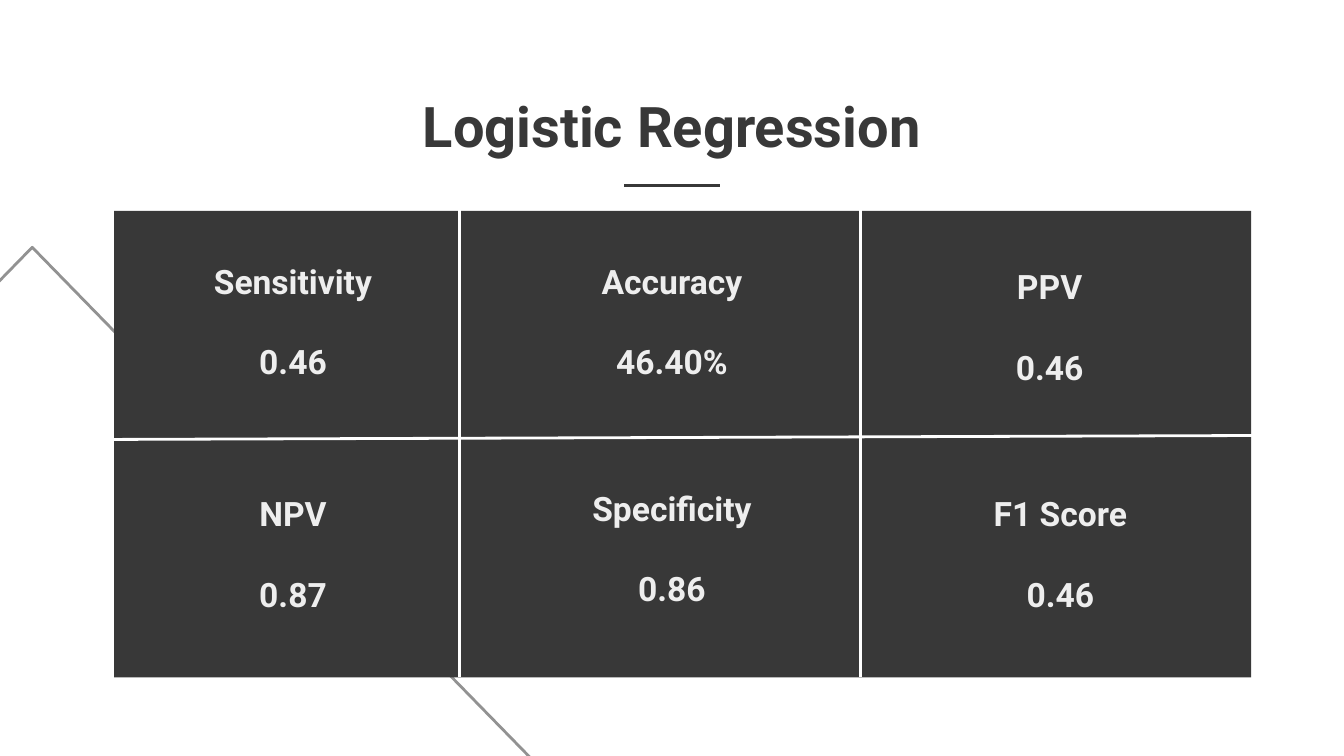
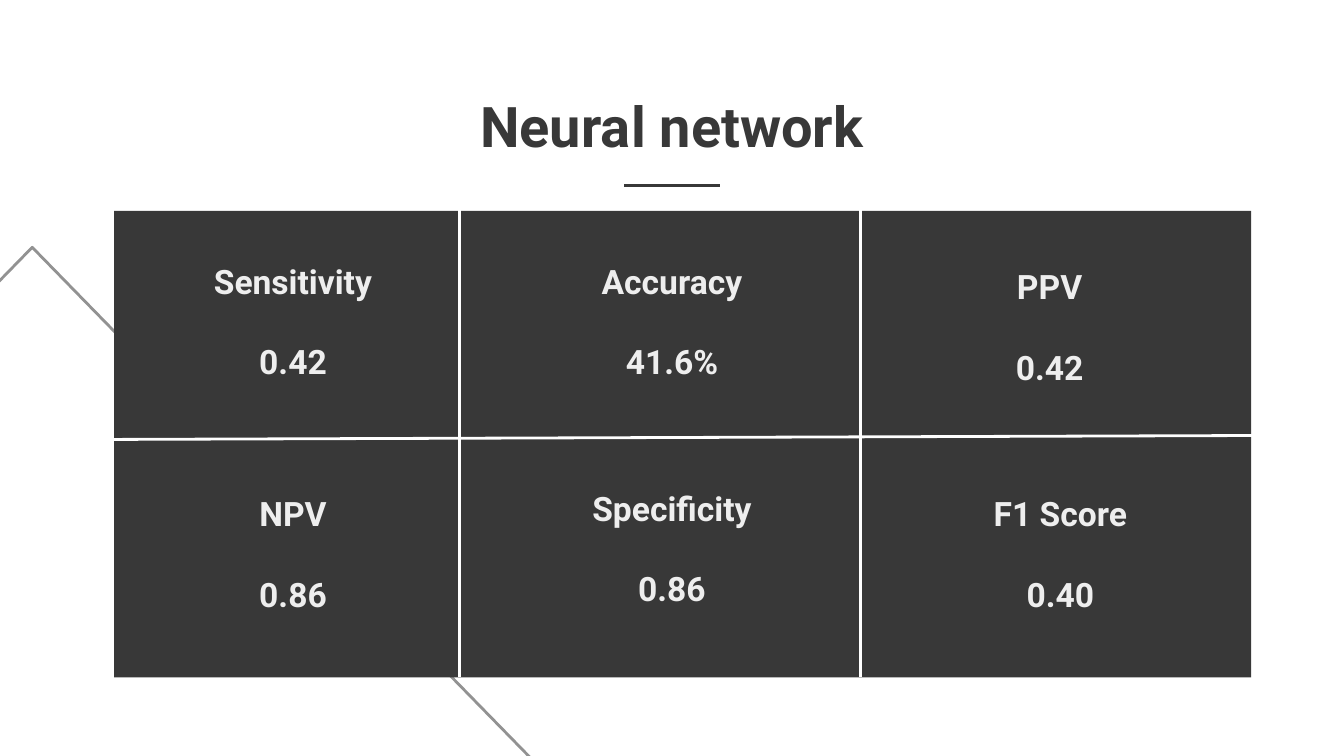
import pptx
import pptx.util
import pptx.dml.color
import pptx.enum.shapes
import pptx.enum.text
import lxml.etree

Inches, Pt = pptx.util.Inches, pptx.util.Pt
RGBColor = pptx.dml.color.RGBColor
Shape = pptx.enum.shapes.MSO_SHAPE
Anchor = pptx.enum.text.MSO_ANCHOR

WIDTH = 10
HEIGHT = WIDTH * 9 / 16
DARK = RGBColor(0x38, 0x38, 0x38)
PALE = RGBColor(0xEE, 0xEE, 0xEE)
GRAY = RGBColor(0x92, 0x92, 0x92)
WHITE = RGBColor(0xFF, 0xFF, 0xFF)
FONT = "Roboto"
STROKE = 1.5

MODELS = [
    ("Logistic Regression", ["0.46", "46.40%", "0.46", "0.87", "0.86", "0.46"]),
    ("Neural network", ["0.42", "41.6%", "0.42", "0.86", "0.86", "0.40"]),
]
METRICS = [
    ("Sensitivity", 0, 0),
    ("Accuracy", 0, 0),
    ("PPV", 0, 0.04),
    ("NPV", 0, 0.04),
    ("Specificity", 0, 0),
    ("F1 Score", 0.08, 0.04),
]

COLUMN_CENTERS = (2.18, 5, 7.81)
ROW_CENTERS = (2.39, 4.08)
CELL_W, CELL_H = 2.08, 0.44
PANEL = (0.85, 1.57, 8.46, 3.47)
PANEL_BOTTOM = PANEL[1] + PANEL[3]
TRIANGLE = (-3.81, 1.84, 8.1, 4.15)
TITLE_W, TITLE_H, TITLE_TOP = 5.68, 0.58, 0.58
RULE_W, RULE_Y = 0.71, 1.38
LINES = [
    (6.4, 1.5, 6.4, PANEL_BOTTOM, WHITE),
    (3.42, 1.49, 3.42, PANEL_BOTTOM, WHITE),
    (PANEL[0], 3.27, 9.54, 3.24, WHITE),
    ((WIDTH - RULE_W) / 2, RULE_Y, (WIDTH + RULE_W) / 2, RULE_Y, DARK),
]


def write(sp, *lines, size, color, anchor, gap=0):
    tf = sp.text_frame
    tf.word_wrap = True
    tf.auto_size = pptx.enum.text.MSO_AUTO_SIZE.NONE
    tf.vertical_anchor = anchor
    tf.margin_left = tf.margin_right = tf.margin_top = tf.margin_bottom = Inches(0.1)
    for i, text in enumerate(lines):
        p = tf.add_paragraph() if i else tf.paragraphs[0]
        p.alignment = pptx.enum.text.PP_ALIGN.CENTER
        p.line_spacing = 1.0
        p.space_before = Pt(gap if i else 0)
        r = p.add_run()
        r.text = text
        r.font.name, r.font.size, r.font.bold = FONT, Pt(size), True
        r.font.color.rgb = color


def add_block(s, kind, box, fill=None, line=None):
    sp = s.shapes.add_shape(kind, *map(Inches, box))
    sp.shadow.inherit = False
    if fill is None:
        sp.fill.background()
    else:
        sp.fill.solid()
        sp.fill.fore_color.rgb = fill
    if line is None:
        sp.line.fill.background()
    else:
        sp.line.color.rgb = line
        sp.line.width = Pt(STROKE)


def add_line(s, x1, y1, x2, y2, color):
    cx = s.shapes.add_connector(
        pptx.enum.shapes.MSO_CONNECTOR.STRAIGHT, *map(Inches, (x1, y1, x2, y2)))
    cx.line.color.rgb = color
    cx.line.width = Pt(STROKE)
    lxml.etree.SubElement(cx._element.spPr, pptx.oxml.ns.qn("a:effectLst"))


def add_title(s, text):
    sp = s.shapes.title
    sp.left, sp.top = Inches((WIDTH - TITLE_W) / 2), Inches(TITLE_TOP)
    sp.width, sp.height = Inches(TITLE_W), Inches(TITLE_H)
    write(sp, text, size=30, color=DARK, anchor=Anchor.TOP)


def add_metrics(s, values):
    for i, ((name, dx, dy), value) in enumerate(zip(METRICS, values)):
        row, col = divmod(i, len(COLUMN_CENTERS))
        left = COLUMN_CENTERS[col] + dx - CELL_W / 2
        top = ROW_CENTERS[row] + dy - CELL_H / 2
        sp = s.shapes.add_textbox(*map(Inches, (left, top, CELL_W, CELL_H)))
        write(sp, name, value, size=18, color=PALE, anchor=Anchor.MIDDLE, gap=21.5)


def main():
    prs = pptx.Presentation()
    prs.slide_width, prs.slide_height = Inches(WIDTH), Inches(HEIGHT)
    for title, values in MODELS:
        s = prs.slides.add_slide(prs.slide_layouts[5])
        add_block(s, Shape.ISOSCELES_TRIANGLE, TRIANGLE, line=GRAY)
        add_block(s, Shape.RECTANGLE, PANEL, fill=DARK)
        add_title(s, title)
        for line in LINES:
            add_line(s, *line)
        add_metrics(s, values)
    prs.save("out.pptx")


if __name__ == "__main__":
    main()
